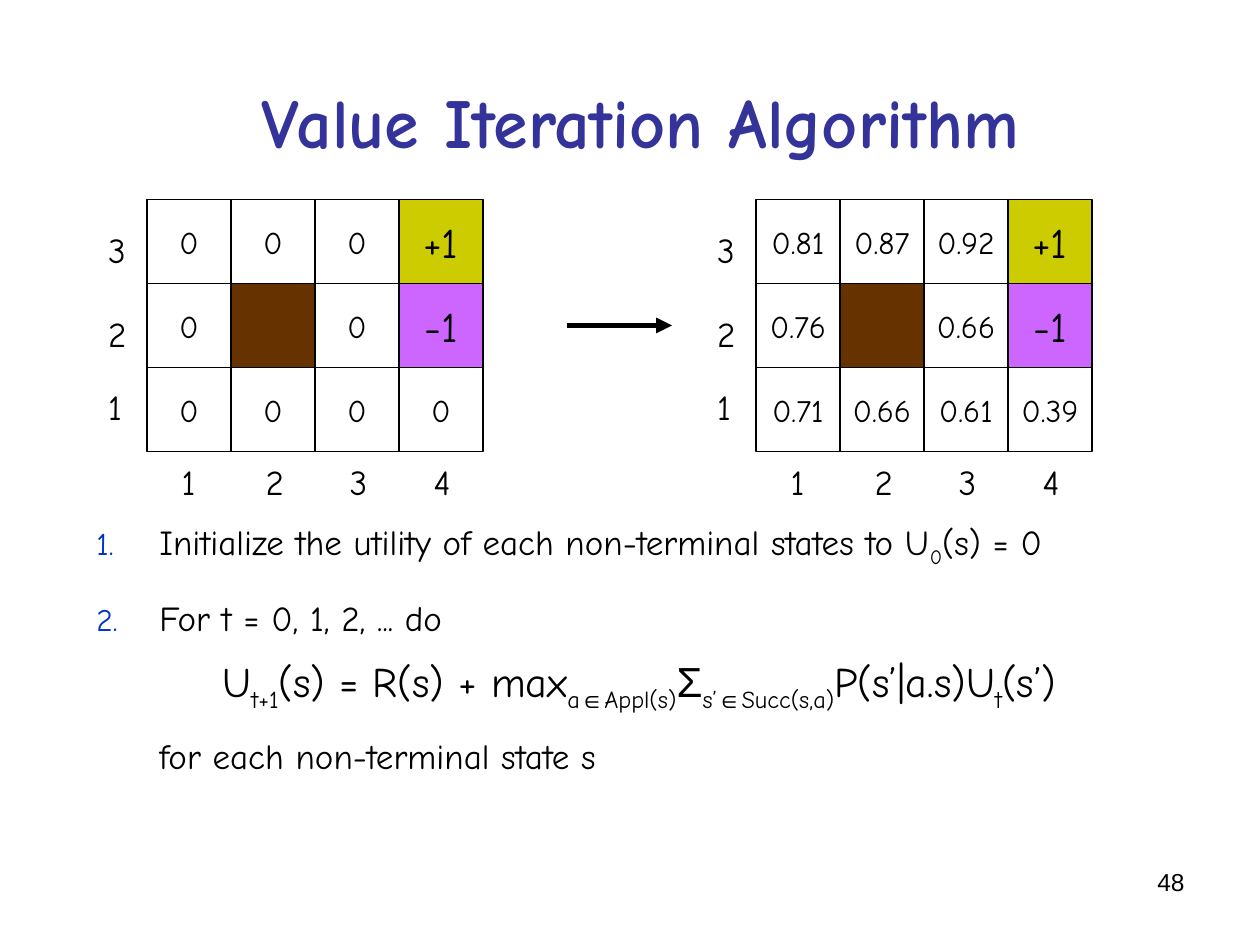
from pptx import Presentation
from pptx.dml.color import RGBColor
from pptx.enum.shapes import MSO_CONNECTOR as Connector, MSO_SHAPE as Shape
from pptx.enum.text import MSO_ANCHOR as Anchor, PP_ALIGN as Align
from pptx.oxml.ns import qn
from pptx.util import Pt
from lxml.etree import SubElement

PX = 9525
CELL = 64
FONT = "Comic Neue"
COLORS = {
    "title": "333399", "text": "000000", "number": "0033CC", "line": "000000",
    "open": "FFFFFF", "wall": "663300", "reward": "CCCC00", "penalty": "CC66FF",
}
WALL = ""
TERMINALS = {"+1": "reward", "-1": "penalty"}
START_VALUES = [["0", "0", "0", "+1"], ["0", WALL, "0", "-1"], ["0", "0", "0", "0"]]
FINAL_VALUES = [
    ["0.81", "0.87", "0.92", "+1"],
    ["0.76", WALL, "0.66", "-1"],
    ["0.71", "0.66", "0.61", "0.39"],
]
STEPS = [
    (0, 20, True, 0, [("Initialize the utility of each non-terminal states to U", ""),
                      ("0", "sub"), ("(s) = 0", "")]),
    (16, 20, True, 0, [("For t = 0, 1, 2, ... do", "")]),
    (10, 24, False, 48, [
        ("U", ""), ("t+1", "sub"), ("(s) = R(s) + max", ""), ("a", "sub"),
        ("∈", "sub symbol"), ("Appl(s)", "sub"), ("Σ", "symbol"), ("s’", "sub"),
        ("∈", "sub symbol"), ("Succ(s,a)", "sub"), ("P(s’|a.s)U", ""),
        ("t", "sub"), ("(s’)", "")]),
    (12, 20, False, 0, [("for each non-terminal state s", "")]),
]


def rgb(name):
    """Return the named colour."""
    return RGBColor.from_string(COLORS[name])


def style(run, size, color="text", font=FONT, bold=False):
    """Set the font of one run."""
    run.font.name, run.font.size, run.font.bold = font, Pt(size), bold
    run.font.color.rgb = rgb(color)


def add_label(slide, box, text, size, align=Align.LEFT, wrap=True, anchor=Anchor.TOP, **look):
    """Add one line of text in the given box."""
    label = slide.shapes.add_textbox(*(n * PX for n in box))
    frame = label.text_frame
    frame.text = text
    frame.word_wrap, frame.vertical_anchor = wrap, anchor
    frame.paragraphs[0].alignment = align
    style(frame.paragraphs[0].runs[0], size, **look)


def add_state(slide, left, top, value):
    """Add one grid state with its utility."""
    state = slide.shapes.add_shape(
        Shape.RECTANGLE, left * PX, top * PX, CELL * PX, CELL * PX)
    state.shadow.inherit = False
    state.fill.solid()
    state.fill.fore_color.rgb = rgb("wall" if value == WALL else TERMINALS.get(value, "open"))
    state.line.color.rgb = rgb("line")
    state.line.width = Pt(0.75)
    if value == WALL:
        return
    frame = state.text_frame
    frame.text = value
    frame.word_wrap, frame.vertical_anchor = False, Anchor.MIDDLE
    frame.paragraphs[0].alignment = Align.CENTER
    style(frame.paragraphs[0].runs[0], 24 if value in TERMINALS else 18)


def add_world(slide, left, top, values):
    """Add a grid of states with row and column numbers."""
    for row, utilities in enumerate(values):
        number = len(values) - row
        label_top = top + 17 + row * CELL - (8 if number == 1 else 0)
        add_label(slide, (left - 39, label_top, 33, 42), str(number), 20, wrap=False)
        for column, utility in enumerate(utilities):
            add_state(slide, left + column * CELL, top + row * CELL, utility)
    for column in range(len(values[0])):
        box = (left + 17 + column * CELL, top + len(values) * CELL + 2, 33, 42)
        add_label(slide, box, str(column + 1), 20, wrap=False)


def add_arrow(slide, left, top, width):
    """Add the arrow from the first grid to the second."""
    arrow = slide.shapes.add_connector(
        Connector.STRAIGHT, left * PX, top * PX, (left + width) * PX, top * PX)
    arrow.line.color.rgb = rgb("line")
    arrow.line.width = Pt(3)
    SubElement(arrow.line._get_or_add_ln(), qn("a:tailEnd"), type="triangle")
    SubElement(arrow._element.spPr, qn("a:effectLst"))


def set_indent(paragraph, indent, numbered):
    """Indent a step and number it if asked."""
    props = paragraph._p.get_or_add_pPr()
    props.set("marL", str((48 + indent) * PX))
    props.set("indent", str(-48 * PX if numbered else 0))
    if numbered:
        color = SubElement(props, qn("a:buClr"))
        SubElement(color, qn("a:srgbClr"), val=COLORS["number"])
        SubElement(props, qn("a:buSzPct"), val="90000")
        SubElement(props, qn("a:buFont"), typeface=FONT)
        SubElement(props, qn("a:buAutoNum"), type="arabicPeriod")


def add_steps(slide, left, top, width, height):
    """Add the steps of the algorithm."""
    frame = slide.shapes.add_textbox(
        left * PX, top * PX, width * PX, height * PX).text_frame
    frame.word_wrap = True
    for index, (gap, size, numbered, indent, pieces) in enumerate(STEPS):
        step = frame.add_paragraph() if index else frame.paragraphs[0]
        step.space_before = Pt(gap)
        set_indent(step, indent, numbered)
        for text, kind in pieces:
            run = step.add_run()
            run.text = text
            style(run, size, font="Arial" if "symbol" in kind else FONT)
            if "sub" in kind:
                run._r.get_or_add_rPr().set("baseline", "-25000")


def main():
    """Build the slide and save it."""
    deck = Presentation()
    deck.slide_width, deck.slide_height = 960 * PX, 720 * PX
    slide = deck.slides.add_slide(deck.slide_layouts[6])
    add_label(slide, (64, 32, 848, 120), "Value Iteration Algorithm", 40, Align.CENTER,
              anchor=Anchor.MIDDLE, color="title", bold=True)
    add_steps(slide, 64, 392, 872, 196)
    add_world(slide, 112, 152, START_VALUES)
    add_world(slide, 576, 152, FINAL_VALUES)
    add_arrow(slide, 432, 248, 80)
    add_label(slide, (688, 656, 224, 50), "48", 14, Align.RIGHT, font="Arial")
    deck.save("out.pptx")


if __name__ == "__main__":
    main()
